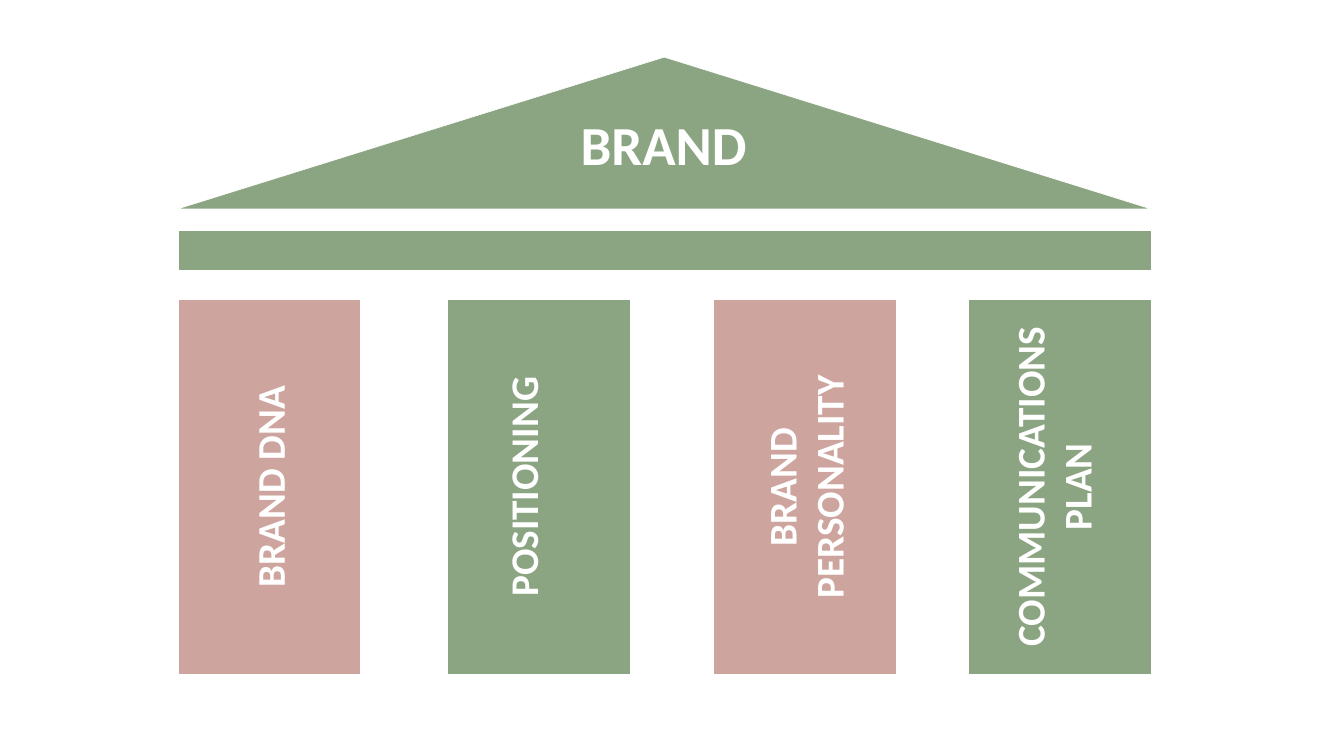
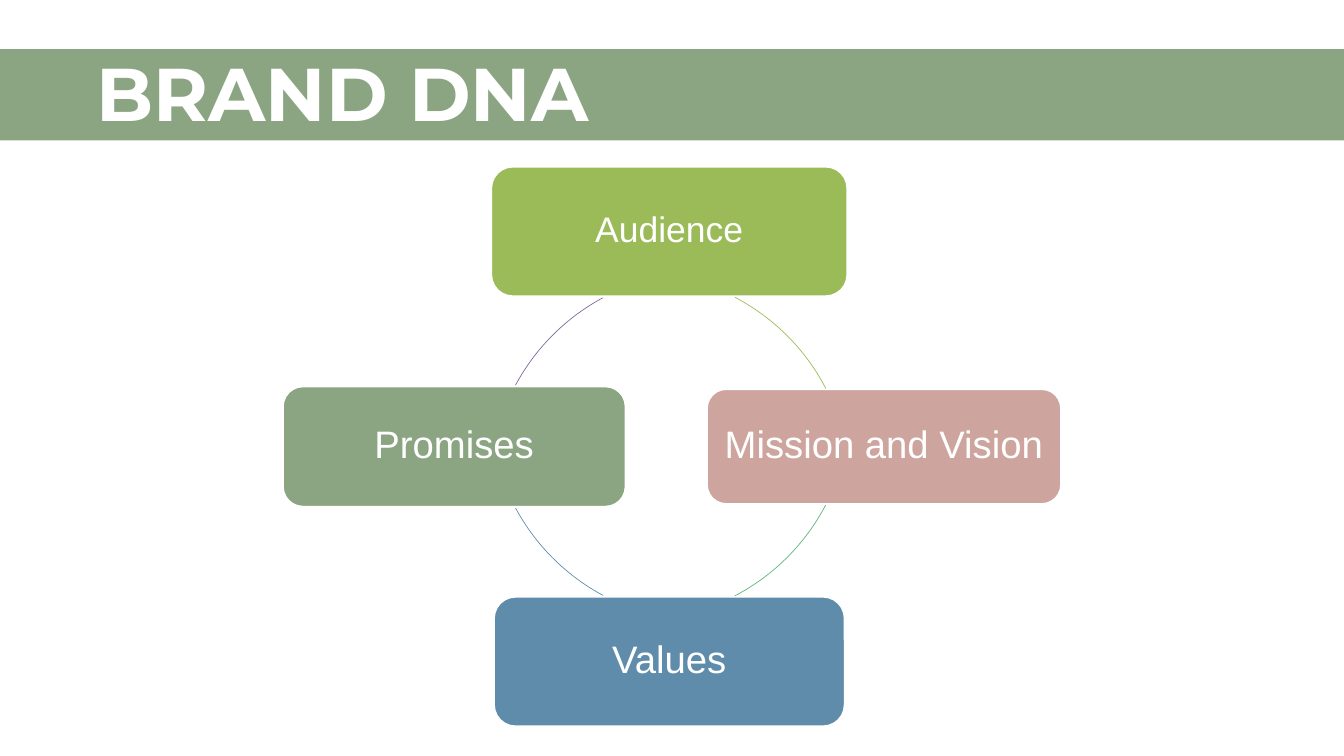
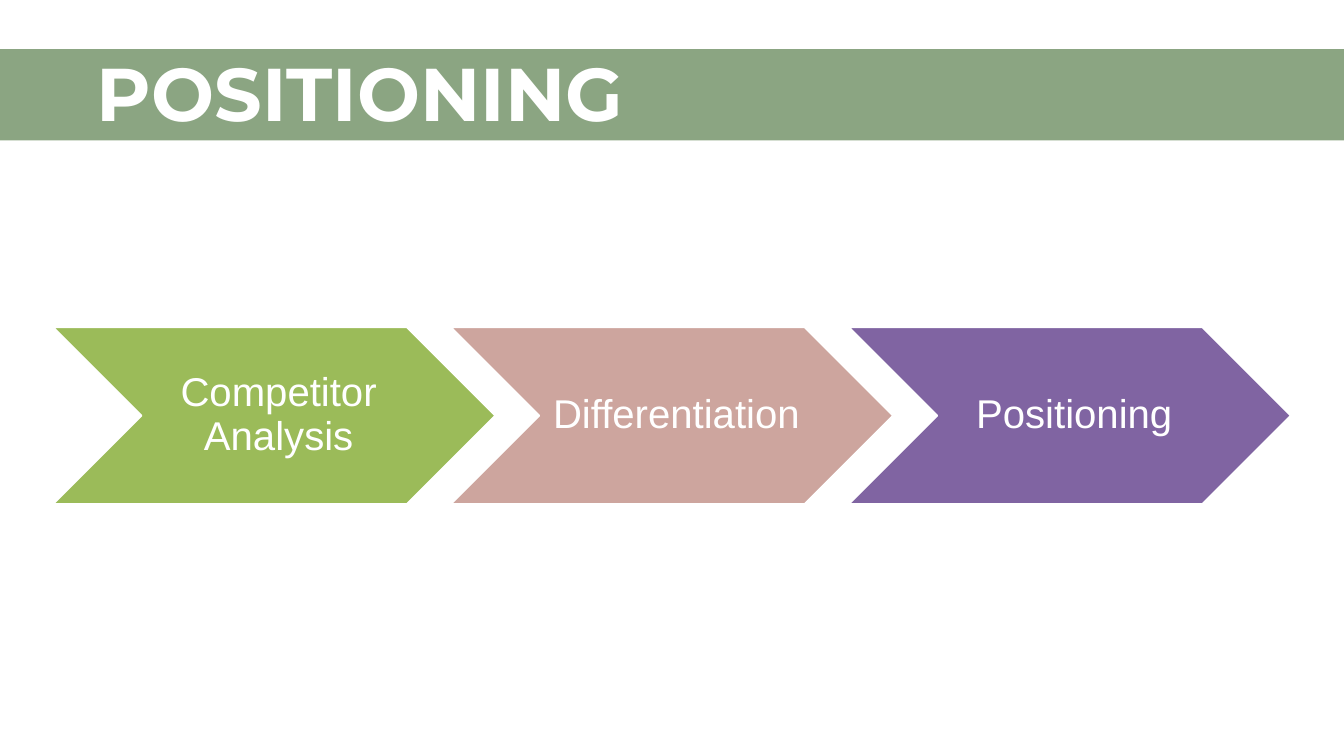
from pptx import Presentation
from pptx.dml.color import RGBColor
from pptx.enum.shapes import MSO_SHAPE
from pptx.enum.text import MSO_ANCHOR, MSO_AUTO_SIZE, PP_ALIGN
from pptx.util import Inches, Pt

RECTANGLE = MSO_SHAPE.RECTANGLE
ROUNDED = MSO_SHAPE.ROUNDED_RECTANGLE
TRIANGLE = MSO_SHAPE.ISOSCELES_TRIANGLE
CHEVRON = MSO_SHAPE.CHEVRON
ARC = MSO_SHAPE.ARC
LEFT, CENTER = PP_ALIGN.LEFT, PP_ALIGN.CENTER
TOP, MIDDLE = MSO_ANCHOR.TOP, MSO_ANCHOR.MIDDLE

SLIDE_W, SLIDE_H = 20, 11.25
TITLE_ONLY, BLANK = 5, 6
SAGE, ROSE, LIME = "8BA582", "CDA59E", "9BBB59"
BLUE, PURPLE, MINT, WHITE = "608CAB", "8064A2", "5CB37C", "FFFFFF"

# Temple: pillar left, colour, label, label centre, label length, label lines
PILLARS = [
    (2.65, ROSE, "BRAND DNA", 4.01, 4.14, 1),
    (6.66, SAGE, "POSITIONING", 7.78, 4.14, 1),
    (10.62, ROSE, "BRAND PERSONALITY", 11.98, 4.14, 2),
    (14.41, SAGE, "COMMUNICATIONS PLAN", 15.67, 5.52, 2),
]
PILLAR_TOP, PILLAR_W, PILLAR_H = 4.45, 2.72, 5.59
LABEL_HEIGHTS = {1: 0.91, 2: 1.62}

# Cycle: text, box, colour, text size
DNA_PARTS = [
    ("Audience", (7.31, 2.48, 5.3, 1.93), LIME, 38),
    ("Mission and Vision", (10.52, 5.79, 5.27, 1.71), ROSE, 41),
    ("Values", (7.35, 8.88, 5.22, 1.93), BLUE, 41),
    ("Promises", (4.21, 5.75, 5.1, 1.79), SAGE, 41),
]
# Arc circle left and top, start and end in degrees clockwise, colour
DNA_ARCS = [
    (6.26, 4.06, 297.7, 332.5, LIME),
    (6.26, 2.84, 27.6, 62.4, MINT),
    (7.29, 2.85, 118.2, 151.7, BLUE),
    (7.29, 4.05, 208.3, 241.7, PURPLE),
]
ARC_DIAMETER = 6.39

STEPS = [("Competitor Analysis", LIME), ("Differentiation", ROSE),
         ("Positioning", PURPLE)]
STEP_LEFT, STEP_TOP, STEP_W, STEP_H, STEP_PITCH = 0.79, 4.87, 6.58, 2.63, 5.92


def color(hex_value):
    return RGBColor.from_string(hex_value)


def write(shape, text, size, font="Arial", bold=False, align=CENTER,
          anchor=MIDDLE, margins=(0.1, 0.1, 0.1, 0.1), spacing=None):
    """Fill a shape with one white paragraph; margins run left, top, right, bottom."""
    frame = shape.text_frame
    frame.word_wrap = True
    frame.auto_size = MSO_AUTO_SIZE.NONE
    frame.vertical_anchor = anchor
    (frame.margin_left, frame.margin_top,
     frame.margin_right, frame.margin_bottom) = map(Inches, margins)
    paragraph = frame.paragraphs[0]
    paragraph.alignment = align
    if spacing:
        paragraph.line_spacing = spacing
    run = paragraph.add_run()
    run.text = text
    run.font.name = font
    run.font.size = Pt(size)
    run.font.bold = bold
    run.font.color.rgb = color(WHITE)


def add_block(slide, preset, box, fill=None, line=None, line_width=0.75):
    block = slide.shapes.add_shape(preset, *map(Inches, box))
    block.shadow.inherit = False
    if fill:
        block.fill.solid()
        block.fill.fore_color.rgb = color(fill)
    else:
        block.fill.background()
    if line:
        block.line.color.rgb = color(line)
        block.line.width = Pt(line_width)
    else:
        block.line.fill.background()
    return block


def add_label(slide, box, text, size, rotation=0, **text_format):
    label = slide.shapes.add_textbox(*map(Inches, box))
    label.rotation = rotation
    write(label, text, size, font="Calibri", bold=True, anchor=TOP, **text_format)


def add_titled_slide(prs, text):
    slide = prs.slides.add_slide(prs.slide_layouts[TITLE_ONLY])
    band = add_block(slide, RECTANGLE, (0, 0.73, SLIDE_W, 1.36), SAGE)
    title = slide.shapes.title
    title.left, title.top, title.width, title.height = map(
        Inches, (1.44, 0.7, 15.11, 1.35))
    write(title, text, 80, font="Montserrat", bold=True, align=LEFT,
          anchor=TOP, margins=(0, 0, 0, 0))
    band.element.addnext(title.element)  # title in front of the band
    return slide


def build_temple(prs):
    slide = prs.slides.add_slide(prs.slide_layouts[BLANK])
    add_block(slide, TRIANGLE, (2.64, 0.85, 14.49, 2.26), SAGE, WHITE)
    add_block(slide, RECTANGLE, (2.65, 3.43, 14.48, 0.6), SAGE, WHITE)
    add_label(slide, (8.54, 1.55, 3.45, 1.2), "BRAND", 59, align=LEFT)
    middle = PILLAR_TOP + PILLAR_H / 2
    for left, fill, text, center, length, lines in PILLARS:
        add_block(slide, RECTANGLE, (left, PILLAR_TOP, PILLAR_W, PILLAR_H),
                  fill, WHITE)
        height = LABEL_HEIGHTS[lines]
        box = (center - length / 2, middle - height / 2, length, height)
        add_label(slide, box, text, 42, rotation=270)


def build_brand_dna(prs):
    slide = add_titled_slide(prs, "BRAND DNA")
    for text, box, fill, size in DNA_PARTS:
        part = add_block(slide, ROUNDED, box, fill, WHITE, 2)
        write(part, text, size, margins=(0.17,) * 4, spacing=0.9)
    for left, top, start, end, line in DNA_ARCS:
        arc = add_block(slide, ARC, (left, top, ARC_DIAMETER, ARC_DIAMETER),
                        line=line)
        # Angles are stored in 60000ths of a degree, adjustments in 100000ths
        arc.adjustments[0] = start * 0.6
        arc.adjustments[1] = end * 0.6


def build_positioning(prs):
    slide = add_titled_slide(prs, "POSITIONING")
    for index, (text, fill) in enumerate(STEPS):
        left = STEP_LEFT + index * STEP_PITCH
        step = add_block(slide, CHEVRON, (left, STEP_TOP, STEP_W, STEP_H),
                         fill, WHITE, 2)
        write(step, text, 43, margins=(0.19, 0.06, 0.06, 0.06), spacing=0.9)


def main():
    prs = Presentation()
    prs.slide_width, prs.slide_height = Inches(SLIDE_W), Inches(SLIDE_H)
    build_temple(prs)
    build_brand_dna(prs)
    build_positioning(prs)
    prs.save("out.pptx")


if __name__ == "__main__":
    main()
